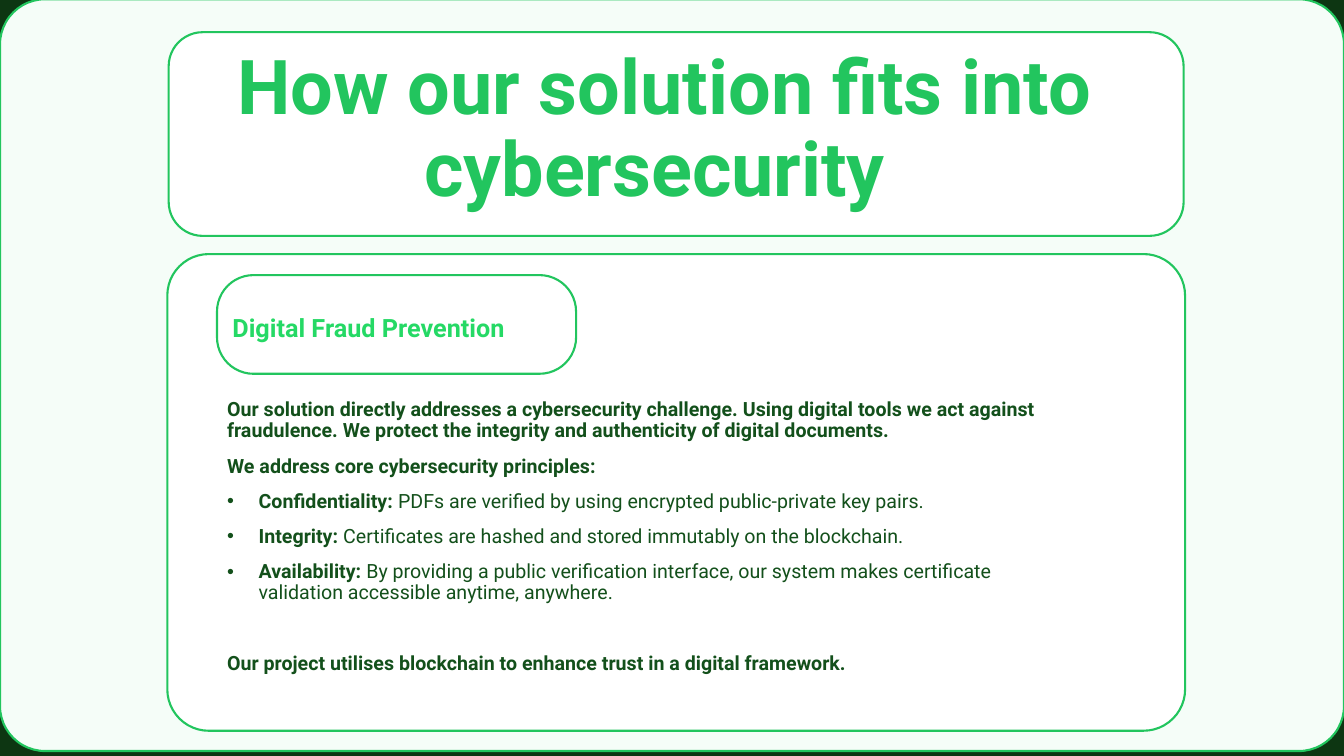
import pptx
import pptx.dml.color
import pptx.enum.shapes
import pptx.enum.text
import pptx.oxml.ns
import pptx.util
import lxml.etree

Pt = pptx.util.Pt
Align = pptx.enum.text.PP_ALIGN
Anchor = pptx.enum.text.MSO_ANCHOR
ROUND = pptx.enum.shapes.MSO_SHAPE.ROUNDED_RECTANGLE
GREEN = "22C55E"
DARK = "13501B"
WHITE = "FFFFFF"


def tint(target, code):
    target.rgb = pptx.dml.color.RGBColor.from_string(code)


def apply(target, style):
    for name, value in style.items():
        setattr(target, name, value)


class Deck:
    face = "Roboto"
    edge = 1.5
    frame = {"word_wrap": True, "auto_size": pptx.enum.text.MSO_AUTO_SIZE.NONE}

    def __init__(self, wide, high, back):
        self.show = pptx.Presentation()
        apply(self.show, {"slide_width": Pt(wide), "slide_height": Pt(high)})
        self.slide = self.show.slides.add_slide(self.show.slide_layouts[1])
        fill = self.slide.background.fill
        fill.solid()
        tint(fill.fore_color, back)

    def place(self, shape, box):
        apply(shape, dict(zip(("left", "top", "width", "height"), map(Pt, box))))

    def panel(self, box, bend, fill=WHITE):
        shape = self.slide.shapes.add_shape(ROUND, *map(Pt, box))
        shape.shadow.inherit = False
        shape.adjustments[0] = bend
        shape.fill.solid()
        tint(shape.fill.fore_color, fill)
        tint(shape.line.color, GREEN)
        shape.line.width = Pt(self.edge)

    def prose(self, par, runs, size, code, align, gap=0, dot=False):
        props = par._p.get_or_add_pPr()
        dent = 22.5 if dot else 0
        props.set("marL", str(Pt(dent)))
        props.set("indent", str(-Pt(dent)))
        kind = "a:buChar" if dot else "a:buNone"
        mark = lxml.etree.SubElement(props, pptx.oxml.ns.qn(kind))
        if dot:
            mark.set("char", "•")
        apply(par, {"alignment": align, "line_spacing": 0.9, "space_before": Pt(gap)})
        for text, bold in runs:
            run = par.add_run()
            run.text = text
            apply(run.font, {"name": self.face, "size": Pt(size), "bold": bold})
            tint(run.font.color, code)

    def title(self, box, text, size):
        shape = self.slide.shapes.title
        self.lift(shape)
        self.place(shape, box)
        apply(shape.text_frame, {**self.frame, "vertical_anchor": Anchor.BOTTOM})
        self.prose(shape.text_frame.paragraphs[0], [(text, True)], size, GREEN, Align.CENTER)

    def label(self, box, text, size, code):
        shape = self.slide.shapes.add_textbox(*map(Pt, box))
        apply(shape.text_frame, self.frame)
        self.prose(shape.text_frame.paragraphs[0], [(text, True)], size, code, Align.CENTER)

    def body(self, box, items, size):
        shape = self.slide.placeholders[1]
        self.lift(shape)
        self.place(shape, box)
        frame = shape.text_frame
        apply(frame, {**self.frame, "vertical_anchor": Anchor.TOP})
        for rank, (runs, gap, dot) in enumerate(items):
            par = frame.add_paragraph() if rank else frame.paragraphs[0]
            self.prose(par, runs, size, DARK, Align.LEFT, gap, dot)

    def lift(self, shape):
        shape._element.getparent().append(shape._element)


def main():
    deck = Deck(960, 540, "0D3612")
    deck.panel((0, -0.5, 960, 537), 0.06, "F5FDF8")
    deck.panel((119.5, 181.5, 727, 340.5), 0.087)
    deck.panel((120.5, 23, 725, 145.5), 0.167)
    deck.title((149, 80, 651, 75.5), "How our solution fits into cybersecurity ", 54)
    deck.panel((155, 196.5, 256.5, 70.5), 0.37)
    deck.label((155, 222, 216.5, 21), "Digital Fraud Prevention", 18, "25D965")

    goals = [
        ("Confidentiality: ", "PDFs are verified by using encrypted public-private key pairs."),
        ("Integrity: ", "Certificates are hashed and stored immutably on the blockchain."),
        ("Availability: ", "By providing a public verification interface, our system makes "
         "certificate validation accessible anytime, anywhere."),
    ]
    items = [
        ([("Our solution directly addresses a cybersecurity challenge. Using digital tools "
           "we act against fraudulence. We protect the integrity and authenticity of "
           "digital documents.", True)], 0, False),
        ([("We address core cybersecurity principles:", True)], 10, False),
        *[([(head, True), (rest, False)], 10, True) for head, rest in goals],
        ([("Our project utilises blockchain to enhance trust in a digital framework.", True)],
         35, False),
    ]
    deck.body((155, 282, 592, 213), items, 14)
    deck.show.save("out.pptx")


if __name__ == "__main__":
    main()
